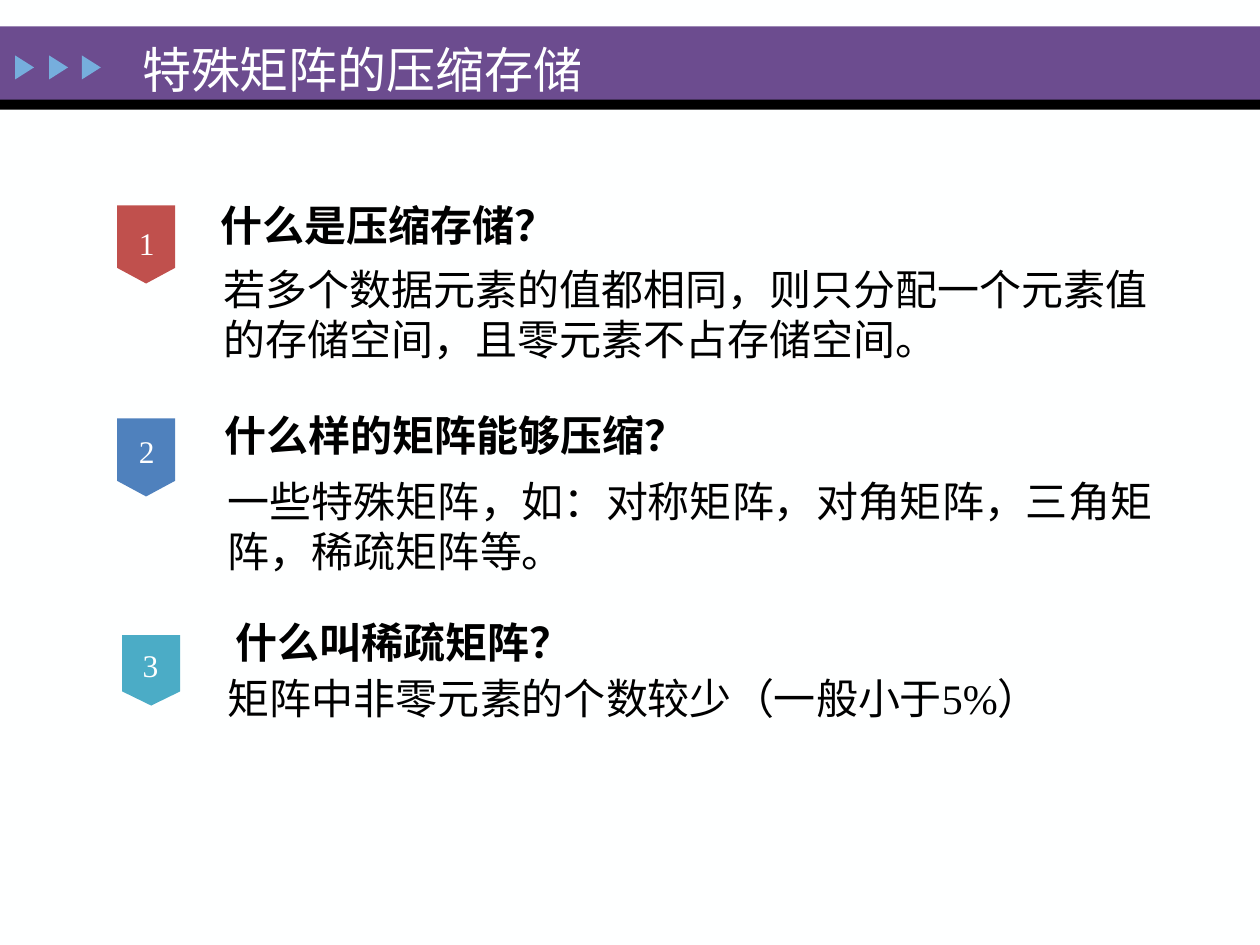
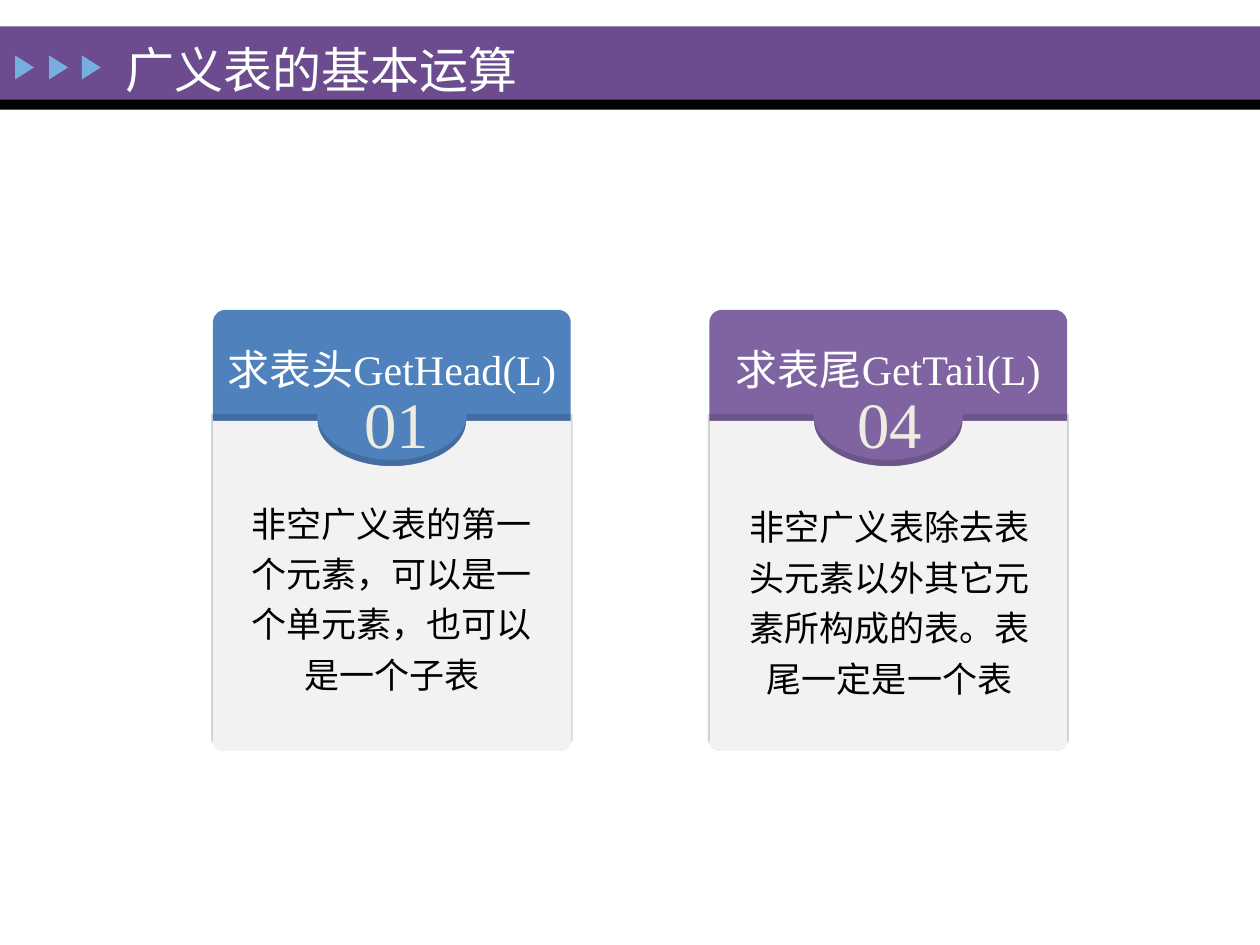
"""Build two slides on packed matrices and list operations."""
from dataclasses import dataclass

from lxml.etree import SubElement
from pptx import Presentation
from pptx.dml.color import RGBColor
from pptx.enum.lang import MSO_LANGUAGE_ID as Lang
from pptx.enum.shapes import MSO_SHAPE as Kind
from pptx.enum.text import MSO_ANCHOR as Anchor, MSO_AUTO_SIZE as Auto, PP_ALIGN as Align
from pptx.oxml.ns import qn
from pptx.shapes.autoshape import Shape
from pptx.shapes.shapetree import GroupShapes, SlideShapes
from pptx.slide import Slide
from pptx.util import Pt

PX = 9144
WIDE, HIGH = 1000, 750
FONT = "Times New Roman"

PAPER = RGBColor(0xFE, 0xFF, 0xFF)
WHITE = RGBColor(0xFF, 0xFF, 0xFF)
BLACK = RGBColor(0x00, 0x00, 0x00)
BAND = RGBColor(0x6C, 0x4C, 0x8F)
ARROW = RGBColor(0x76, 0xAE, 0xDD)
RED = RGBColor(0xC0, 0x50, 0x4D)
BLUE = RGBColor(0x4F, 0x81, 0xBD)
TEAL = RGBColor(0x4B, 0xAC, 0xC6)
PURPLE = RGBColor(0x80, 0x64, 0xA2)
PANEL = RGBColor(0xF2, 0xF2, 0xF2)
CREAM = RGBColor(0xEE, 0xEC, 0xE1)

Box = tuple[int, int, int, int]
Layer = SlideShapes | GroupShapes


@dataclass(frozen=True)
class Style:
    size: int
    color: RGBColor
    bold: bool = False
    align: Align = Align.LEFT
    anchor: Anchor = Anchor.TOP
    inset: tuple[int, int] = (10, 5)
    wrap: bool = True
    grow: bool = False
    line: float = 1.0


@dataclass(frozen=True)
class Point:
    mark: str
    color: RGBColor
    flag: Box
    ring: Box
    head: str
    head_box: Box
    body: str
    body_box: Box


@dataclass(frozen=True)
class Card:
    left: int
    color: RGBColor
    head: str
    mark: str
    mark_left: int
    body: str
    body_box: Box


TITLE = Style(28, PAPER, anchor=Anchor.MIDDLE)
MARK = Style(18, WHITE, align=Align.CENTER, anchor=Anchor.MIDDLE)
HEAD = Style(24, BLACK, bold=True, inset=(0, 0), wrap=False, grow=True)
BODY = Style(24, BLACK, inset=(13, 7))
CARD_HEAD = Style(24, WHITE, align=Align.CENTER, inset=(10, 24), wrap=False)
CARD_MARK = Style(37, CREAM, align=Align.CENTER, wrap=False, line=0.9)
CARD_BODY = Style(20, BLACK, align=Align.CENTER, line=1.2)

POINTS = (
    Point("1", RED, (93, 163, 46, 62), (90, 162, 53, 61),
          "什么是压缩存储？", (175, 158, 269, 40),
          "若多个数据元素的值都相同，则只分配一个元素值的存储空间，且零元素不占存储空间。",
          (164, 202, 789, 110)),
    Point("2", BLUE, (93, 332, 46, 62), (90, 327, 53, 61),
          "什么样的矩阵能够压缩？", (178, 325, 380, 40),
          "一些特殊矩阵，如：对称矩阵，对角矩阵，三角矩阵，稀疏矩阵等。",
          (168, 370, 786, 91)),
    Point("3", TEAL, (97, 504, 46, 56), (93, 497, 53, 61),
          " 什么叫稀疏矩阵？", (179, 489, 279, 40),
          "矩阵中非零元素的个数较少（一般小于5%）", (168, 527, 786, 60)),
)
CARDS = (
    Card(169, BLUE, "求表头GetHead(L)", "01", 279,
         "非空广义表的第一个元素，可以是一个单元素，也可以是一个子表",
         (181, 387, 260, 177)),
    Card(563, PURPLE, "求表尾GetTail(L)", "04", 670,
         "非空广义表除去表头元素以外其它元素所构成的表。表尾一定是一个表",
         (580, 390, 252, 173)),
)
CARD_TOP, CARD_WIDE, CARD_HIGH = 246, 284, 350
FOLD = 334
EDGE = (
    ((10, 0),), ((83, 0),),
    ((83, 20), (110, 36), (142, 36)), ((174, 36), (201, 20), (201, 0)),
    ((274, 0),), ((284, 0),), ((284, 6),), ((284, 43),), ((284, 256),),
    ((284, 259), (280, 262), (274, 262)), ((10, 262),),
    ((4, 262), (0, 259), (0, 256)), ((0, 43),), ((0, 6),), ((0, 0),),
)


def assign(target: object, values: dict) -> None:
    for name, value in values.items():
        setattr(target, name, value)


def scale(box: Box) -> list[int]:
    return [side * PX for side in box]


def paint(shape: Shape, color: RGBColor | None) -> None:
    shape.shadow.inherit = False
    shape.line.fill.background()
    if color is None:
        shape.fill.background()
    else:
        shape.fill.solid()
        shape.fill.fore_color.rgb = color


def draw(layer: Layer, kind: Kind, box: Box, color: RGBColor | None = None) -> Shape:
    shape = layer.add_shape(kind, *scale(box))
    paint(shape, color)
    return shape


def write(shape: Shape, text: str, style: Style) -> None:
    side, edge = (inset * PX for inset in style.inset)
    frame = shape.text_frame
    assign(frame, {
        "word_wrap": style.wrap, "vertical_anchor": style.anchor,
        "auto_size": Auto.SHAPE_TO_FIT_TEXT if style.grow else Auto.NONE,
        "margin_left": side, "margin_right": side,
        "margin_top": edge, "margin_bottom": edge})
    para = frame.paragraphs[0]
    assign(para, {"alignment": style.align, "line_spacing": style.line})
    run = para.add_run()
    run.text = text
    assign(run.font, {"name": FONT, "size": Pt(style.size), "bold": style.bold,
                      "language_id": Lang.SIMPLIFIED_CHINESE})
    run.font.color.rgb = style.color


def label(layer: Layer, box: Box, text: str, style: Style) -> None:
    write(layer.add_textbox(*scale(box)), text, style)


def add_page(deck: Presentation, title: str, box: Box) -> Slide:
    slide = deck.slides.add_slide(deck.slide_layouts[6])
    fill = slide.background.fill
    fill.solid()
    fill.fore_color.rgb = PAPER
    draw(slide.shapes, Kind.RECTANGLE, (0, 21, WIDE, 59), BAND)
    draw(slide.shapes, Kind.RECTANGLE, (0, 79, WIDE, 8), BLACK)
    group = slide.shapes.add_group_shape().shapes
    for left in (10, 37, 63):
        draw(group, Kind.ISOSCELES_TRIANGLE, (left, 46, 19, 15), ARROW).rotation = 90
    label(slide.shapes, box, title, TITLE)
    return slide


def add_point(slide: Slide, point: Point) -> None:
    group = slide.shapes.add_group_shape().shapes
    draw(group, Kind.FLOWCHART_OFFPAGE_CONNECTOR, point.flag, point.color)
    write(draw(group, Kind.OVAL, point.ring), point.mark, MARK)
    label(slide.shapes, point.head_box, point.head, HEAD)
    label(slide.shapes, point.body_box, point.body, BODY)


def bend(panel: Shape) -> None:
    lines = list(panel.element.iter(qn("a:lnTo")))
    for part in EDGE:
        group, lines = lines[:len(part)], lines[len(part):]
        if len(part) == 3:
            first = group[0]
            first.tag = qn("a:cubicBezTo")
            for line in group[1:]:
                first.append(line[0])
                line.getparent().remove(line)


def add_panel(layer: Layer, left: int) -> None:
    outline = layer.build_freeform(left * PX, FOLD * PX)
    outline.add_line_segments(
        [((left + x) * PX, (FOLD + y) * PX) for part in EDGE for x, y in part])
    panel = outline.convert_to_shape()
    bend(panel)
    paint(panel, PANEL)
    effects = panel.element.spPr.find(qn("a:effectLst"))
    shade = SubElement(effects, qn("a:outerShdw"), {
        "dist": str(Pt(2)), "dir": "16200000", "sx": "101000", "sy": "101000",
        "algn": "b", "rotWithShape": "0"})
    tint = SubElement(shade, qn("a:srgbClr"), {"val": str(BLACK)})
    SubElement(tint, qn("a:alpha"), {"val": "14000"})


def add_card(slide: Slide, card: Card) -> None:
    group = slide.shapes.add_group_shape().shapes
    box = (card.left, CARD_TOP, CARD_WIDE, CARD_HIGH)
    back = draw(group, Kind.ROUNDED_RECTANGLE, box, card.color)
    back.adjustments[0] = 0.035
    write(back, card.head, CARD_HEAD)
    add_panel(group, card.left)
    label(group, (card.mark_left, 307, 72, 67), card.mark, CARD_MARK)
    label(group, card.body_box, card.body, CARD_BODY)


def main() -> None:
    deck = Presentation()
    assign(deck, {"slide_width": WIDE * PX, "slide_height": HIGH * PX})
    slide = add_page(deck, "特殊矩阵的压缩存储", (103, 27, 582, 56))
    for point in POINTS:
        add_point(slide, point)
    slide = add_page(deck, "广义表的基本运算", (90, 27, 941, 56))
    for card in CARDS:
        add_card(slide, card)
    deck.save("out.pptx")


if __name__ == "__main__":
    main()
